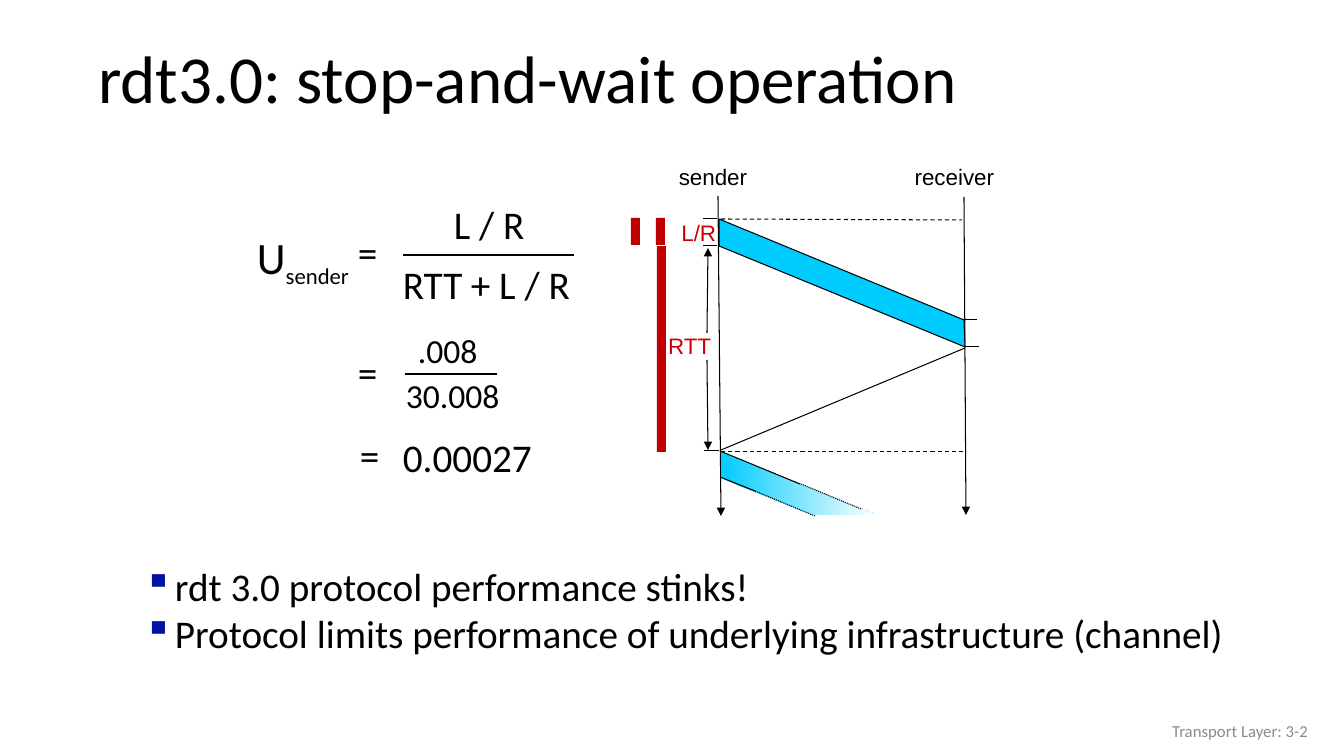
from lxml.etree import SubElement
from pptx import Presentation
from pptx.dml.color import RGBColor
from pptx.enum.dml import MSO_LINE as Dash
from pptx.enum.shapes import MSO_CONNECTOR as Connector, MSO_SHAPE as Preset
from pptx.enum.text import MSO_ANCHOR as Anchor, MSO_AUTO_SIZE as AutoSize, PP_ALIGN as Align
from pptx.oxml.ns import qn
from pptx.util import Pt

EMU_PER_PX = 914400 / 100.8
BLACK, WHITE, GREY = "000000", "FFFFFF", "8C8C8C"
CYAN, RED, LABEL_RED, BULLET_BLUE = "00CCFF", "C00000", "CC0000", "0013A3"

TITLE = "rdt3.0: stop-and-wait operation"
TAKEAWAYS = ["rdt 3.0 protocol performance stinks!",
             "Protocol limits performance of underlying infrastructure (channel)"]
FOOTER = "Transport Layer: 3-2"

# Lines as x1, y1, x2, y2
ARROWS = [(718, 196, 721, 516), (964, 197, 966, 515),   # sender and receiver time
          (707, 360, 708, 450), (707, 333, 708, 248)]   # RTT span
GUIDES = [(721, 219, 962, 220), (721, 452, 963, 452)]
PACKET_LINES = [(719, 220, 965, 322), (721, 450, 965, 348)]
TICKS = [(717, 219, 703, 219), (717, 246, 703, 246), (719, 451, 704, 451),
         (977, 320, 962, 320), (965, 347, 979, 347)]
NEXT_EDGES = [(720, 451, 800, 484), (720, 477, 755, 491)]
NEXT_EDGES_FADING = [(801, 484, 861, 509), (755, 491, 815, 516)]
FRACTION_BARS = [((403, 255, 574, 255), 1.75), ((405, 374, 497, 374), 1.5)]

PACKET = [(719, 219), (964, 320), (965, 347), (719, 246)]
NEXT_PACKET = [(721, 452), (877, 515), (813, 515), (721, 478)]

# Boxes as left, top, width, height
TIME_BARS = [(657, 246, 9, 206), (656, 218, 9, 27), (631, 218, 9, 27)]
DIAGRAM_LABELS = [("sender", (659, 158, 98, 38), BLACK), ("receiver", (900, 158, 104, 38), BLACK),
                  ("L/R", (632, 214, 94, 37), LABEL_RED), ("RTT", (631, 327, 90, 37), LABEL_RED)]
FORMULA = [("=", (348, 223, 40, 57), 28), ("L / R", (444, 195, 92, 57), 28),
           ("RTT", (393, 255, 81, 57), 28), ("+ L / R", (461, 255, 121, 57), 28),
           ("=", (348, 343, 40, 57), 28), (".008", (408, 325, 81, 50), 24),
           ("30.008", (396, 370, 115, 50), 24),
           ("=", (350, 426, 40, 57), 28), ("0.00027", (393, 428, 151, 57), 28)]
UTILIZATION_BOX = (247, 225, 123, 65)


def px(length):
    return round(length * EMU_PER_PX)


def color(value):
    return RGBColor.from_string(value)


def style(paragraph, size, tint=BLACK, face="Calibri", align=Align.LEFT):
    paragraph.alignment = align
    paragraph.font.name = face
    paragraph.font.size = Pt(size)
    paragraph.font.color.rgb = color(tint)


def add_text(shapes, text, box, size, wrap=True, **look):
    frame = shapes.add_textbox(*map(px, box)).text_frame
    frame.word_wrap = wrap
    if not wrap:
        frame.auto_size = AutoSize.SHAPE_TO_FIT_TEXT
    frame.text = text
    for paragraph in frame.paragraphs:
        style(paragraph, size, **look)
    return frame


def add_line(shapes, ends, width=0.75, dash=None, arrow=False):
    connector = shapes.add_connector(Connector.STRAIGHT, *map(px, ends))
    connector.line.color.rgb = color(BLACK)
    connector.line.width = Pt(width)
    if dash:
        connector.line.dash_style = dash
    properties = connector.element.spPr
    if arrow:
        SubElement(properties.find(qn("a:ln")), qn("a:tailEnd"), type="triangle")
    SubElement(properties, qn("a:effectLst"))


def add_band(shapes, corners):
    builder = shapes.build_freeform(*corners[0], scale=EMU_PER_PX)
    builder.add_line_segments(corners[1:], close=True)
    band = builder.convert_to_shape()
    band.shadow.inherit = False
    return band


def add_bullet(paragraph):
    properties = paragraph._p.get_or_add_pPr()
    properties.set("marL", str(px(31)))
    properties.set("indent", str(-px(31)))
    tint = SubElement(properties, qn("a:buClr"))
    SubElement(tint, qn("a:srgbClr"), val=BULLET_BLUE)
    SubElement(properties, qn("a:buChar"), char="▪")


def main():
    deck = Presentation()
    deck.slide_width, deck.slide_height = px(1344), px(756)
    slide = deck.slides.add_slide(deck.slide_layouts[5])
    shapes = slide.shapes

    # Title
    title = shapes.title
    title.left, title.top, title.width, title.height = map(px, (88, 32, 1224, 99))
    title.text_frame.text = TITLE
    title.text_frame.vertical_anchor = Anchor.MIDDLE
    style(title.text_frame.paragraphs[0], 48)
    title.text_frame.paragraphs[0].line_spacing = 0.9

    # Timing diagram
    for ends in ARROWS:
        add_line(shapes, ends, arrow=True)
    for ends in GUIDES:
        add_line(shapes, ends, dash=Dash.DASH)
    for ends in PACKET_LINES:
        add_line(shapes, ends)

    packet = add_band(shapes, PACKET)
    packet.fill.solid()
    packet.fill.fore_color.rgb = color(CYAN)
    packet.line.color.rgb = color(BLACK)
    packet.line.width = Pt(0.75)

    next_packet = add_band(shapes, NEXT_PACKET)
    next_packet.fill.gradient()
    next_packet.fill.gradient_angle = 0
    for stop, tint in zip(next_packet.fill.gradient_stops, (CYAN, WHITE)):
        stop.color.rgb = color(tint)
    next_packet.line.fill.background()

    for ends in TICKS + NEXT_EDGES:
        add_line(shapes, ends)
    for ends in NEXT_EDGES_FADING:
        add_line(shapes, ends, dash=Dash.ROUND_DOT)

    for box in TIME_BARS:
        bar = shapes.add_shape(Preset.RECTANGLE, *map(px, box))
        bar.shadow.inherit = False
        bar.fill.solid()
        bar.fill.fore_color.rgb = color(RED)
        bar.line.fill.background()
    for text, box, tint in DIAGRAM_LABELS:
        add_text(shapes, text, box, 16, tint=tint, face="Arial", align=Align.RIGHT)

    # Utilization formula
    utilization = add_text(shapes, "U", UTILIZATION_BOX, 32, wrap=False).paragraphs[0]
    subscript = utilization.add_run()
    subscript.text = "sender"
    subscript.font.size = Pt(28)
    subscript.font._element.set("baseline", "-25000")
    for text, box, size in FORMULA:
        add_text(shapes, text, box, size, wrap=False)
    for ends, width in FRACTION_BARS:
        add_line(shapes, ends, width)

    # Takeaways and footer
    takeaways = add_text(shapes, "\n".join(TAKEAWAYS), (134, 557, 1124, 136), 28)
    for paragraph in takeaways.paragraphs:
        add_bullet(paragraph)
    footer = add_text(shapes, FOOTER, (1016, 711, 302, 40), 12, tint=GREY, align=Align.RIGHT)
    footer.vertical_anchor = Anchor.MIDDLE

    deck.save("out.pptx")


if __name__ == "__main__":
    main()
